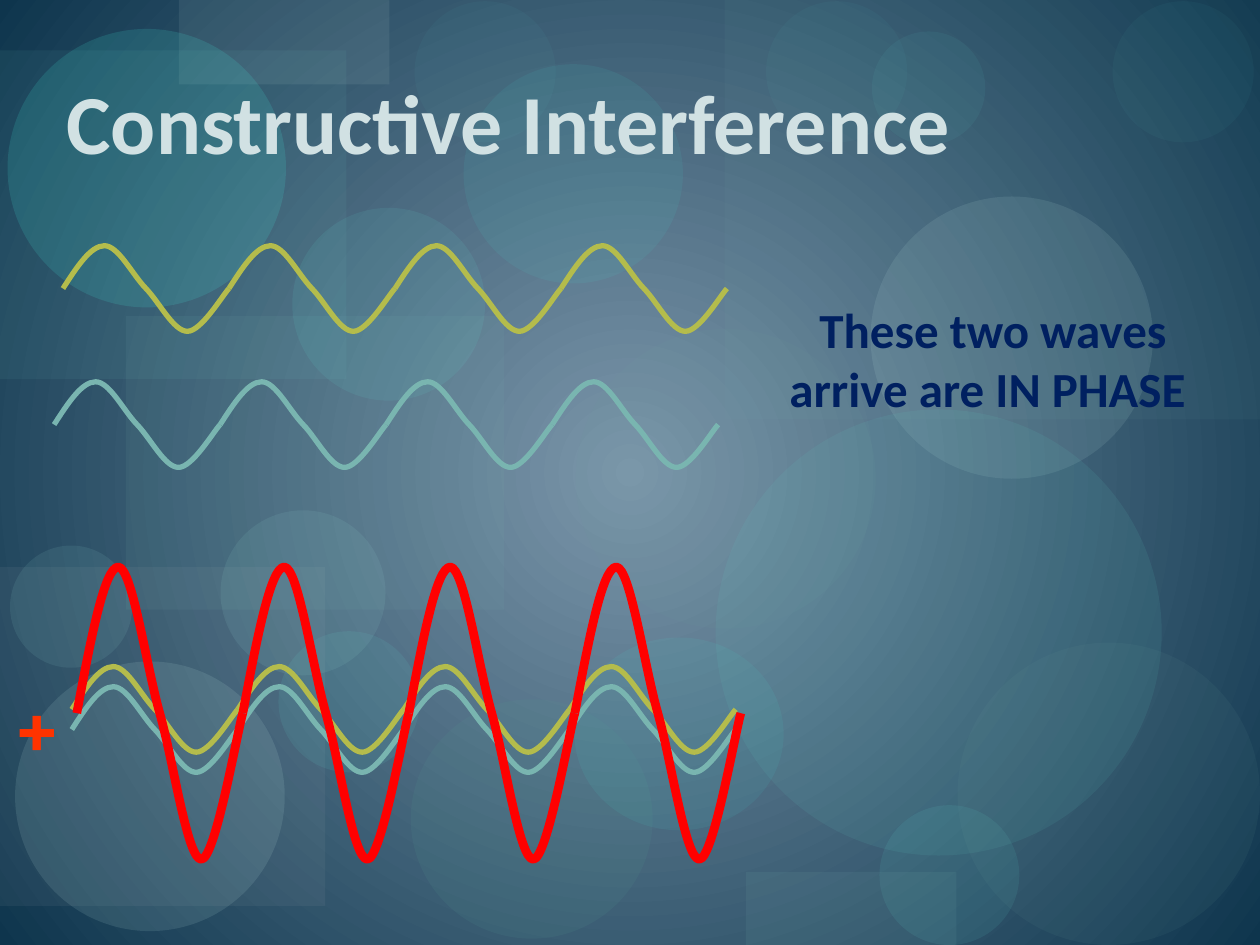
"""Build a slide on constructive interference of two waves in phase."""
from dataclasses import dataclass

from lxml import etree
from pptx import Presentation
from pptx.dml.color import RGBColor
from pptx.enum import shapes, text
from pptx.oxml import ns
from pptx.util import Inches, Pt


@dataclass(frozen=True)
class Theme:
    glow: str = "7B96AA"
    deep: str = "0E354D"
    title: str = "D1E1E3"
    note: str = "002060"
    plus: str = "FF3300"
    first_wave: str = "B4BC4C"
    second_wave: str = "79B5B0"
    sum_wave: str = "FF0000"
    body_font: str = "Calibri"
    symbol_font: str = "Cambria"
    large: int = 48
    medium: int = 28
    thin: int = 3
    thick: int = 5


THEME = Theme()
RECTANGLE = shapes.MSO_SHAPE.RECTANGLE
OVAL = shapes.MSO_SHAPE.OVAL

BACKDROP = [
    (RECTANGLE, 1, 2.51, 3, 2.33, "79B5B0", 9),
    (OVAL, 3.26, 5.55, 1.92, 1.9, "549791", 13),
    (RECTANGLE, 5.75, 0, 4.25, 3.33, "79B5B0", 6),
    (RECTANGLE, 0, 4.5, 2.58, 2.69, "B2B7BA", 8),
    (OVAL, 4.57, 2.61, 2.38, 2.38, "70A39E", 8),
    (OVAL, 6.98, 6.39, 1.11, 1.11, "65E8DC", 9),
    (OVAL, 6.91, 1.56, 2.24, 2.24, "C1E8E4", 11),
    (OVAL, 0.12, 5.25, 2.14, 2.14, "C1E8E4", 12),
    (OVAL, 2.21, 5.01, 1.12, 1.12, "65E8DC", 9),
    (OVAL, 4.56, 5.06, 1.66, 1.53, "44EADC", 8),
    (RECTANGLE, 0, 0.4, 2.75, 2.61, "77D6CE", 7),
    (RECTANGLE, 1.42, 0, 1.67, 0.67, "BED7D4", 10),
    (OVAL, 0.06, 0.23, 2.21, 2.21, "44EADC", 15),
    (OVAL, 0.08, 4.33, 0.97, 0.97, "97DCD6", 10),
    (OVAL, 2.32, 1.65, 1.53, 1.53, "65E8DC", 9),
    (OVAL, 3.68, 0.51, 1.74, 1.74, "44EADC", 8),
    (OVAL, 5.68, 3.25, 3.54, 3.54, "61CDC4", 10),
    (OVAL, 6.08, 0.01, 1.12, 1.12, "65E8DC", 4),
    (OVAL, 7.6, 5.1, 2.4, 2.4, "70A39E", 8),
    (OVAL, 1.75, 4.05, 1.31, 1.31, "97DCD6", 10),
    (OVAL, 6.92, 0.25, 0.9, 0.9, "65E8DC", 6),
    (OVAL, 8.83, 0.01, 1.12, 1.12, "65E8DC", 4),
    (RECTANGLE, 5.92, 6.92, 1.67, 0.58, "79B5B0", 10),
    (OVAL, 3.29, 0.01, 1.12, 1.12, "65E8DC", 4),
]

CYCLES = 4
PERIOD = 5.27 / CYCLES
CYCLE_CONTROLS = [
    (1 / 12, 1 / 2), (2 / 12, 1), (3 / 12, 1),
    (4 / 12, 1), (5 / 12, 1 / 3), (6 / 12, 0),
    (7 / 12, -1 / 3), (8 / 12, -1), (9 / 12, -1),
    (10 / 12, -1), (0.96, -1 / 6), (1, 0),
]


def paint_background(slide):
    """Fill the background with a gradient that darkens from the centre."""
    fill = slide.background.fill
    fill.gradient()
    for stop, color in zip(fill.gradient_stops, (THEME.glow, THEME.deep)):
        stop.color.rgb = RGBColor.from_string(color)
    gradient = slide.element.find(".//" + ns.qn("a:gradFill"))
    gradient.remove(gradient.find(ns.qn("a:lin")))
    circle = etree.SubElement(gradient, ns.qn("a:path"), path="circle")
    etree.SubElement(circle, ns.qn("a:fillToRect"),
                     l="50000", t="50000", r="50000", b="50000")


def add_backdrop_shape(slide, kind, left, top, width, height, color, opacity):
    """Add one translucent shape without an outline."""
    shape = slide.shapes.add_shape(
        kind, Inches(left), Inches(top), Inches(width), Inches(height))
    shape.shadow.inherit = False
    shape.fill.solid()
    shape.fill.fore_color.rgb = RGBColor.from_string(color)
    shape.line.fill.background()
    tint = shape.element.spPr.find(".//" + ns.qn("a:srgbClr"))
    etree.SubElement(tint, ns.qn("a:alpha"), val=str(opacity * 1000))


def curve_segments(shape):
    """Turn each three straight segments of a freeform into one Bézier curve."""
    outline = shape.element.spPr.find(".//" + ns.qn("a:path"))
    segments = outline.findall(ns.qn("a:lnTo"))
    for start in range(0, len(segments), 3):
        curve = etree.SubElement(outline, ns.qn("a:cubicBezTo"))
        for segment in segments[start:start + 3]:
            curve.append(segment[0])
            outline.remove(segment)


def add_cycle(slide, left, middle, amplitude, color, weight):
    """Add one full cycle of a wave and return its shape."""
    builder = slide.shapes.build_freeform(Inches(left), Inches(middle))
    points = [(Inches(left + across * PERIOD), Inches(middle - up * amplitude))
              for across, up in CYCLE_CONTROLS]
    builder.add_line_segments(points, close=False)
    shape = builder.convert_to_shape()
    curve_segments(shape)
    shape.shadow.inherit = False
    shape.fill.background()
    shape.line.color.rgb = RGBColor.from_string(color)
    shape.line.width = Pt(weight)
    return shape


def add_wave(slide, left, middle, amplitude, color, weight=THEME.thin):
    """Add a wave as a group of equal cycles."""
    cycles = [add_cycle(slide, left + index * PERIOD, middle, amplitude, color, weight)
              for index in range(CYCLES)]
    slide.shapes.add_group_shape(cycles)


def add_label(slide, words, left, top, width, height, color, size,
              font=THEME.body_font, align=text.PP_ALIGN.LEFT, wrap=True):
    """Add a bold text box."""
    box = slide.shapes.add_textbox(
        Inches(left), Inches(top), Inches(width), Inches(height))
    frame = box.text_frame
    frame.word_wrap = wrap
    frame.auto_size = text.MSO_AUTO_SIZE.SHAPE_TO_FIT_TEXT
    paragraph = frame.paragraphs[0]
    paragraph.text = words
    paragraph.alignment = align
    paragraph.font.name = font
    paragraph.font.size = Pt(size)
    paragraph.font.bold = True
    paragraph.font.color.rgb = RGBColor.from_string(color)


def main():
    """Build and save the slide."""
    presentation = Presentation()
    presentation.slide_width = Inches(10)
    presentation.slide_height = Inches(7.5)
    slide = presentation.slides.add_slide(presentation.slide_layouts[6])
    paint_background(slide)
    for item in BACKDROP:
        add_backdrop_shape(slide, *item)

    add_wave(slide, 0.5, 2.29, 0.34, THEME.first_wave)
    add_label(slide, "+", 0, 5.3, 0.58, 0.9, THEME.plus, THEME.large,
              font=THEME.symbol_font)
    add_wave(slide, 0.43, 3.37, 0.34, THEME.second_wave)
    add_label(slide, "These two waves arrive are IN PHASE ", 6.04, 2.33, 3.68, 1.04,
              THEME.note, THEME.medium, align=text.PP_ALIGN.CENTER)
    add_label(slide, "Constructive Interference", 0.43, 0.51, 7.58, 0.91,
              THEME.title, THEME.large, wrap=False)
    add_wave(slide, 0.57, 5.63, 0.34, THEME.first_wave)
    add_wave(slide, 0.57, 5.79, 0.34, THEME.second_wave)
    add_wave(slide, 0.61, 5.66, 1.16, THEME.sum_wave, THEME.thick)
    presentation.save("out.pptx")


if __name__ == "__main__":
    main()
